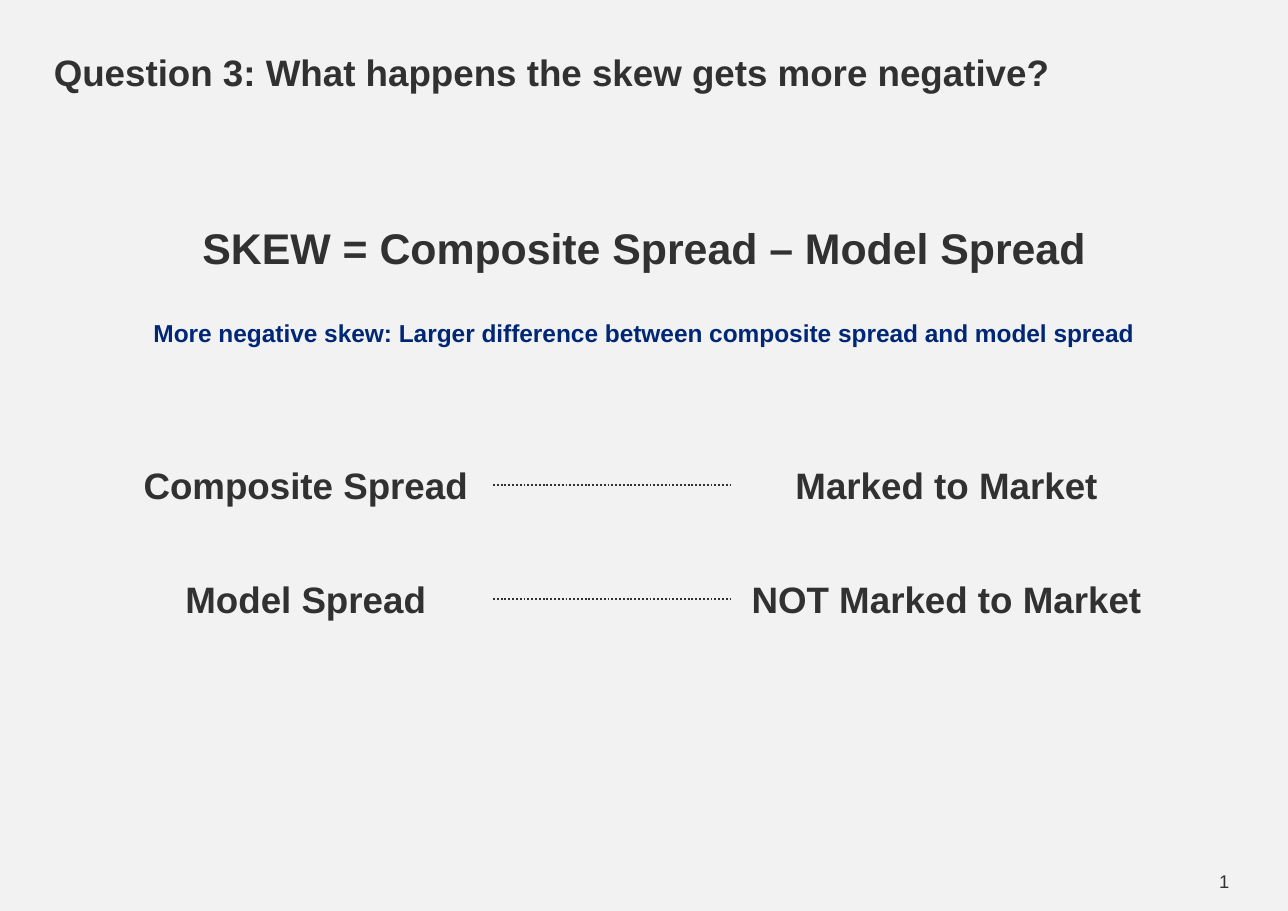
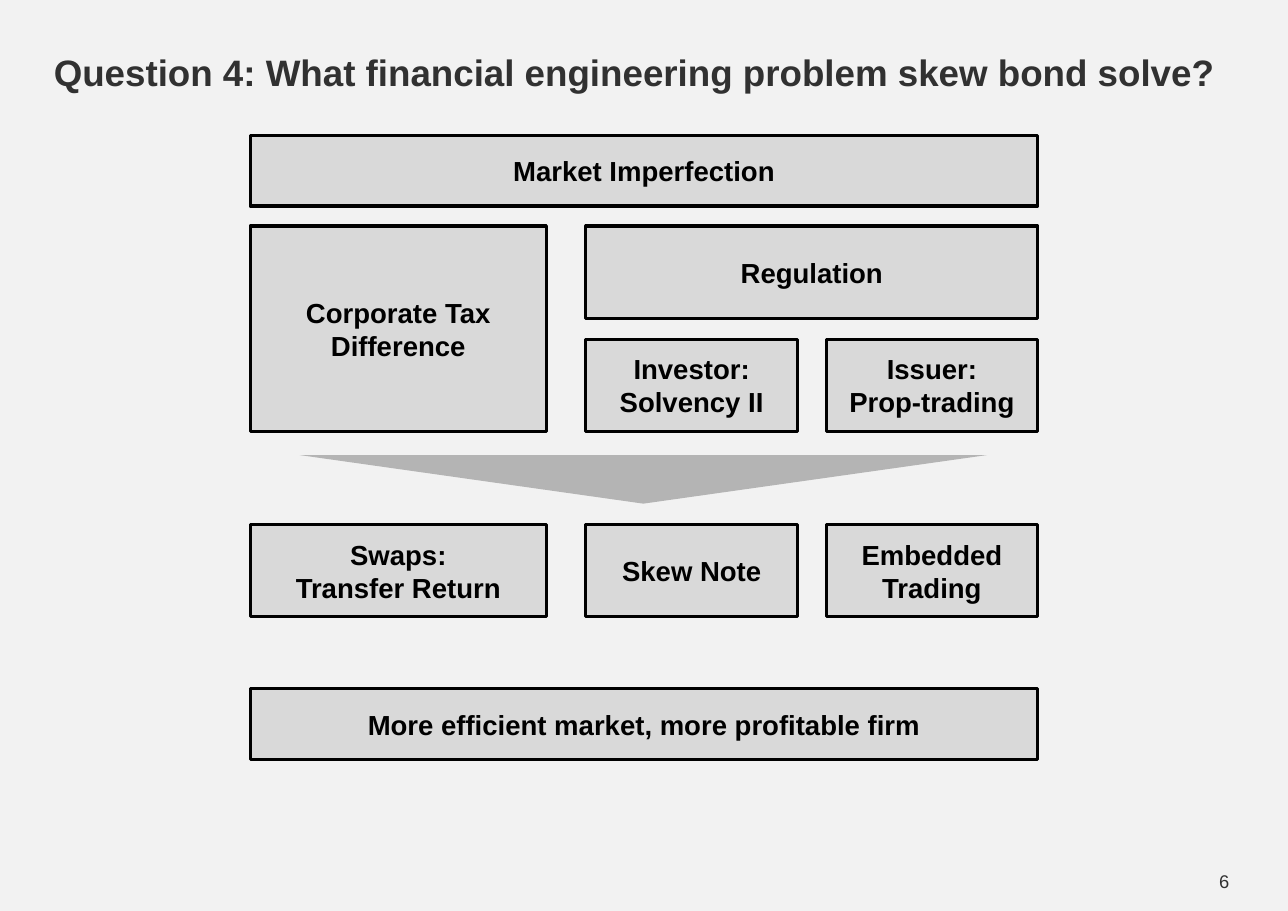
from lxml import etree
from pptx import Presentation
from pptx import util as u
from pptx.dml.color import RGBColor
from pptx.enum import dml, shapes, text
from pptx.oxml import ns

PAPER = RGBColor(0xF2, 0xF2, 0xF2)
INK = RGBColor(0x31, 0x31, 0x31)
NAVY = RGBColor(0x00, 0x27, 0x76)
BLACK = RGBColor(0, 0, 0)
BOX_GREY = RGBColor(0xD9, 0xD9, 0xD9)
ARROW_GREY = RGBColor(0xB4, 0xB4, 0xB4)
FONT = "Arial"
PAGE_WIDTH, PAGE_HEIGHT = 29.7, 21
CENTER, LEFT = text.PP_ALIGN.CENTER, text.PP_ALIGN.LEFT


def cm(*lengths):
    return [u.Cm(length) for length in lengths]


def write(frame, words, size, color=INK, bold=True, align=CENTER):
    frame.text = words
    for paragraph in frame.paragraphs:
        paragraph.alignment = align
        for run in paragraph.runs:
            run.font.name = FONT
            run.font.size = u.Pt(size)
            run.font.bold = bold
            run.font.color.rgb = color


def add_page(prs, heading, number):
    slide = prs.slides.add_slide(prs.slide_layouts[5])
    title = slide.shapes.title
    title.left, title.top, title.width, title.height = cm(1.24, 1.04, 27.43, 1.09)
    frame = title.text_frame
    frame.margin_left = frame.margin_right = frame.margin_top = frame.margin_bottom = 0
    frame.vertical_anchor = text.MSO_ANCHOR.TOP
    frame.auto_size = text.MSO_AUTO_SIZE.NONE
    write(frame, heading, 24, align=LEFT)
    frame.paragraphs[0].line_spacing = 1.1
    add_label(slide, number, (27.86, 19.94, 1.6, 0.76), 12, bold=False, align=LEFT)
    return slide


def add_label(slide, words, place, size, **style):
    frame = slide.shapes.add_textbox(*cm(*place)).text_frame
    frame.word_wrap = True
    write(frame, words, size, **style)


def add_dotted_line(slide, left, right, y):
    link = slide.shapes.add_connector(
        shapes.MSO_CONNECTOR.STRAIGHT, *cm(left, y, right, y))
    link.line.color.rgb = INK
    link.line.width = u.Pt(1.25)
    link.line.dash_style = dml.MSO_LINE.ROUND_DOT
    etree.SubElement(link._element.spPr, ns.qn("a:effectLst"))


def add_filled(slide, kind, place, color):
    shape = slide.shapes.add_shape(kind, *cm(*place))
    shape.shadow.inherit = False
    shape.fill.solid()
    shape.fill.fore_color.rgb = color
    return shape


def add_box(slide, words, place):
    box = add_filled(slide, shapes.MSO_SHAPE.RECTANGLE, place, BOX_GREY)
    box.line.color.rgb = BLACK
    box.line.width = u.Pt(2)
    box.text_frame.vertical_anchor = text.MSO_ANCHOR.MIDDLE
    write(box.text_frame, words, 18, BLACK)


def add_down_arrow(slide, place):
    arrow = add_filled(slide, shapes.MSO_SHAPE.ISOSCELES_TRIANGLE, place, ARROW_GREY)
    arrow.line.fill.background()
    arrow.rotation = 180


def build_skew_slide(prs):
    slide = add_page(prs, "Question 3: What happens the skew gets more negative?", "1")
    add_label(slide, "SKEW = Composite Spread – Model Spread",
              (0, 4.98, PAGE_WIDTH, 1.45), 28)
    add_label(slide, "More negative skew: Larger difference between composite "
              "spread and model spread", (0, 7.21, PAGE_WIDTH, 0.94), 16, color=NAVY)
    spreads = [("Composite Spread", "Marked to Market"),
               ("Model Spread", "NOT Marked to Market")]
    for row, (spread, valuation) in enumerate(spreads):
        top = 10.54 + row * 2.62
        add_label(slide, spread, (3, top, 8.1, 1.27), 24)
        add_dotted_line(slide, 11.37, 16.83, top + 0.64)
        add_label(slide, valuation, (17, top, 9.65, 1.27), 24)


def build_problem_slide(prs):
    slide = add_page(
        prs, "Question 4: What financial engineering problem skew bond solve?", "6")
    tax_x, investor_x, issuer_x, right = 5.77, 13.51, 19.05, 23.93
    tax_w, narrow_w = 6.83, right - issuer_x
    full_w, regulation_w = right - tax_x, right - investor_x
    banner_h, box_h = 1.63, 2.13
    cause_y, detail_y, solution_y = 5.21, 7.82, 12.09
    boxes = [
        ("Market Imperfection", tax_x, 3.12, full_w, banner_h),
        ("Corporate Tax\nDifference", tax_x, cause_y, tax_w,
         detail_y + box_h - cause_y),
        ("Regulation", investor_x, cause_y, regulation_w, box_h),
        ("Investor:\nSolvency II", investor_x, detail_y, narrow_w, box_h),
        ("Issuer:\nProp-trading", issuer_x, detail_y, narrow_w, box_h),
        ("Swaps:\nTransfer Return", tax_x, solution_y, tax_w, box_h),
        ("Skew Note", investor_x, solution_y, narrow_w, box_h),
        ("Embedded\nTrading", issuer_x, solution_y, narrow_w, box_h),
        ("More efficient market, more profitable firm", tax_x, 15.88, full_w, banner_h),
    ]
    for words, *place in boxes:
        add_box(slide, words, place)
    add_down_arrow(slide, (6.91, 10.49, 15.85, 1.12))


def main():
    prs = Presentation()
    prs.slide_width, prs.slide_height = cm(PAGE_WIDTH, PAGE_HEIGHT)
    backdrop = prs.slide_master.background.fill
    backdrop.solid()
    backdrop.fore_color.rgb = PAPER
    build_skew_slide(prs)
    build_problem_slide(prs)
    prs.save("out.pptx")


main()
